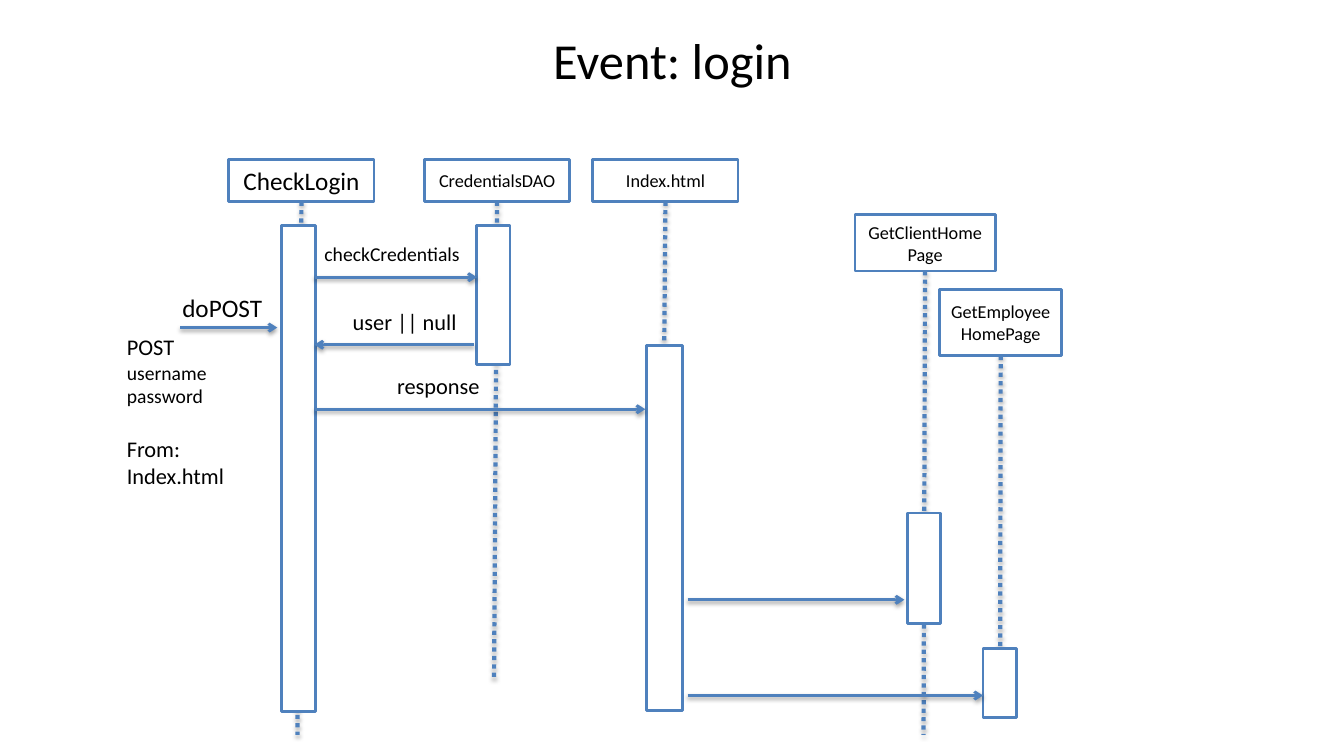
from lxml.etree import SubElement
from pptx import Presentation
from pptx.dml.color import RGBColor
from pptx.enum.dml import MSO_LINE_DASH_STYLE as Dash
from pptx.enum.shapes import MSO_CONNECTOR as Conn, MSO_SHAPE as Shape
from pptx.enum.text import MSO_ANCHOR as Anchor, MSO_AUTO_SIZE as Auto, PP_ALIGN as Align
from pptx.oxml.ns import qn
from pptx.util import Inches, Pt

THEME = {
    "font": "Calibri",
    "text": RGBColor(0, 0, 0),
    "fill": RGBColor(255, 255, 255),
    "line": RGBColor(0x4F, 0x81, 0xBD),
    "title": 36, "large": 18, "medium": 16, "small": 14, "head": 13,
    "solid": 2, "dotted": 3,
}

TITLE = ("Event: login", (0.92, 0.15, 11.5, 0.88))

PARTICIPANTS = [
    {"name": "CheckLogin", "size": "large", "head": (2.27, 1.58, 1.44, 0.42),
     "foot": (2.95, 7.29), "bar": (2.79, 2.24, 0.34, 4.82)},
    {"name": "CredentialsDAO", "size": "head", "head": (4.21, 1.58, 1.44, 0.42),
     "foot": (4.9, 6.75), "bar": (4.73, 2.24, 0.33, 1.38)},
    {"name": "Index.html", "size": "head", "head": (5.88, 1.58, 1.44, 0.42),
     "foot": (6.56, 6.75), "bar": (6.41, 3.43, 0.36, 3.62)},
    {"name": "GetClientHomePage", "size": "head", "head": (8.48, 2.13, 1.39, 0.56),
     "foot": (9.16, 7.29), "bar": (9, 5.09, 0.33, 1.1)},
    {"name": "GetEmployeeHomePage", "size": "head", "head": (9.32, 2.87, 1.21, 0.66),
     "foot": (9.92, 6.43), "bar": (9.75, 6.43, 0.33, 0.69)},
]

MESSAGES = [
    (1.79, 2.75, 3.25),
    (3.12, 4.73, 2.75),
    (4.7, 3.12, 3.42),
    (3.12, 6.4, 4.06),
    (6.82, 8.97, 5.95),
    (6.82, 9.75, 6.9),
]

LABELS = [
    ("doPOST", "large", (1.71, 2.85, 1, 0.4)),
    ("checkCredentials", "small", (3.12, 2.35, 1.56, 0.34)),
    ("user || null", "medium", (3.4, 3.01, 1.24, 0.37)),
    ("response", "medium", (3.84, 3.64, 1.03, 0.37)),
]

REQUEST_BOX = (1.16, 3.26, 1.63, 1.65)
REQUEST = [
    ("POST", "medium", 0),
    ("username", "small", 0),
    ("password", "small", 0),
    ("From:", "medium", 19.5),
    ("Index.html", "medium", 0),
]


def apply(obj, values):
    for key, value in values.items():
        setattr(obj, key, value)


def inches(values):
    return [Inches(v) for v in values]


def write(p, text, size, align=Align.LEFT, before=0):
    apply(p, {"alignment": align, "space_before": Pt(before)})
    r = p.add_run()
    r.text = text
    apply(r.font, {"name": THEME["font"], "size": Pt(THEME[size])})
    r.font.color.rgb = THEME["text"]


def add_box(shapes, box):
    s = shapes.add_shape(Shape.RECTANGLE, *inches(box))
    s.shadow.inherit = False
    s.fill.solid()
    s.fill.fore_color.rgb = THEME["fill"]
    s.line.color.rgb = THEME["line"]
    s.line.width = Pt(THEME["solid"])
    return s


def add_line(shapes, start, end, kind):
    s = shapes.add_connector(Conn.STRAIGHT, *inches(start + end))
    s.line.color.rgb = THEME["line"]
    s.line.width = Pt(THEME[kind])
    if kind == "dotted":
        s.line.dash_style = Dash.ROUND_DOT
        distance, alpha = 1.8, 35
    else:
        SubElement(s.line._get_or_add_ln(), qn("a:tailEnd"), type="arrow")
        distance, alpha = 1.6, 38
    effects = SubElement(s._element.spPr, qn("a:effectLst"))
    shadow = SubElement(effects, qn("a:outerShdw"), blurRad=str(Pt(3.1)),
                        dist=str(Pt(distance)), dir="5400000", rotWithShape="0")
    color = SubElement(shadow, qn("a:srgbClr"), val="000000")
    SubElement(color, qn("a:alpha"), val=str(alpha * 1000))


def add_text(shapes, box, wrap):
    tf = shapes.add_textbox(*inches(box)).text_frame
    apply(tf, {"word_wrap": wrap, "auto_size": Auto.SHAPE_TO_FIT_TEXT})
    return tf


def add_participant(shapes, item):
    left, top, width, height = item["head"]
    add_line(shapes, (left + width / 2, top + height), item["foot"], "dotted")
    tf = add_box(shapes, item["head"]).text_frame
    apply(tf, {"word_wrap": True, "vertical_anchor": Anchor.MIDDLE})
    write(tf.paragraphs[0], item["name"], item["size"], Align.CENTER)
    add_box(shapes, item["bar"])


def main():
    prs = Presentation()
    apply(prs, {"slide_width": Inches(13.33), "slide_height": Inches(7.5)})
    shapes = prs.slides.add_slide(prs.slide_layouts[5]).shapes

    text, box = TITLE
    apply(shapes.title, dict(zip(("left", "top", "width", "height"), inches(box))))
    tf = shapes.title.text_frame
    tf.vertical_anchor = Anchor.MIDDLE
    write(tf.paragraphs[0], text, "title", Align.CENTER)

    for item in PARTICIPANTS:
        add_participant(shapes, item)
    for start, end, y in MESSAGES:
        add_line(shapes, (start, y), (end, y), "solid")
    for text, size, box in LABELS:
        write(add_text(shapes, box, False).paragraphs[0], text, size)

    tf = add_text(shapes, REQUEST_BOX, True)
    for i, (text, size, before) in enumerate(REQUEST):
        p = tf.add_paragraph() if i else tf.paragraphs[0]
        write(p, text, size, before=before)

    prs.save("out.pptx")


if __name__ == "__main__":
    main()
